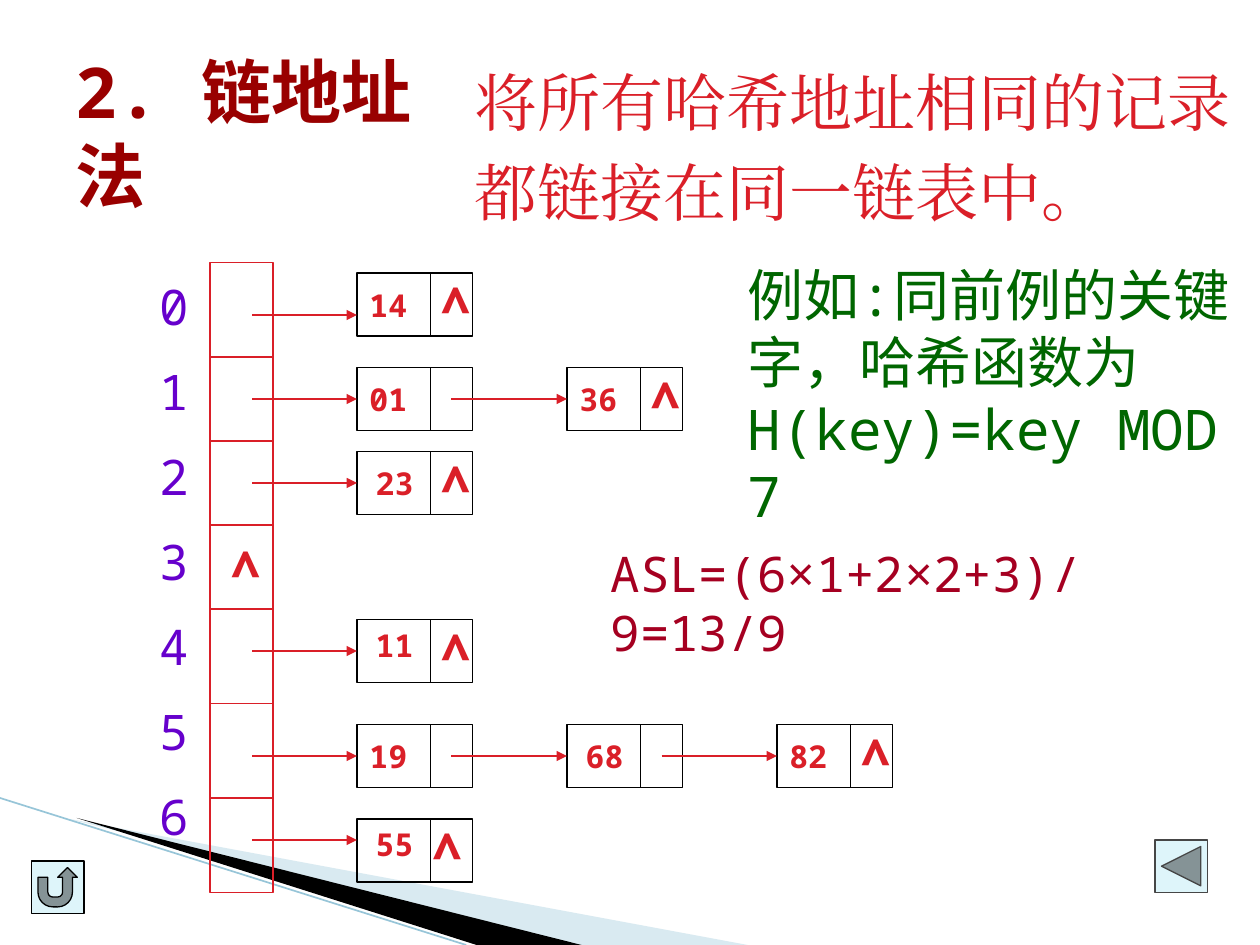
from dataclasses import dataclass
from typing import Optional

from lxml.etree import SubElement
from pptx import Presentation
from pptx.dml.color import RGBColor
from pptx.enum.shapes import MSO_CONNECTOR, MSO_SHAPE
from pptx.enum.text import MSO_ANCHOR, MSO_AUTO_SIZE, PP_ALIGN
from pptx.oxml.ns import qn
from pptx.util import Inches, Pt

WIDTH, HEIGHT = Inches(10), Inches(7.5)
COLUMNS, ROWS = 120, 90
MONO, SERIF = "Noto Sans Mono", "Times New Roman"
TITLE_RED = RGBColor(0x99, 0x00, 0x00)
RED = RGBColor(0xDA, 0x1F, 0x28)
PURPLE = RGBColor(0x66, 0x00, 0xCC)
GREEN = RGBColor(0x00, 0x66, 0x00)
CRIMSON = RGBColor(0xA5, 0x00, 0x21)
BLACK = RGBColor(0x00, 0x00, 0x00)
GREY = RGBColor(0x46, 0x46, 0x46)
ICE = RGBColor(0xDE, 0xF5, 0xFA)
PALE_BLUE = RGBColor(0xA0, 0xCB, 0xDC)
EDGE_BLUE = RGBColor(0x97, 0xC5, 0xD8)

TABLE_LEFT, TABLE_RIGHT, TABLE_TOP, TABLE_BOTTOM = 20, 26, 25, 85
TABLE_RULES = (34, 42, 50, 58, 67, 76)
NODE_WIDTH, NODE_HEIGHT, KEY_WIDTH = 11, 6, 7
NODE_START, NODE_STEP = 34, 20
NULL_MARK = "∧"


@dataclass
class Node:
    key: str
    label_drop: Optional[float] = None
    mark_shift: Optional[float] = None


@dataclass
class Chain:
    top: float
    arrow: float
    nodes: list[Node]


CHAINS = [
    Chain(26, 30, [Node("14", mark_shift=6.8)]),
    Chain(35, 38, [Node("01"), Node("36", mark_shift=6.8)]),
    Chain(43, 46, [Node("23", 0.6, 6.8)]),
    Chain(59, 62, [Node("11", 0, 6.8)]),
    Chain(69, 72, [Node("19"), Node("68", 0.6), Node("82", mark_shift=6.8)]),
    Chain(78, 80, [Node("55", 0, 6)]),
]


def across(column: float) -> int:
    return round(WIDTH * column / COLUMNS)


def down(row: float) -> int:
    return round(HEIGHT * row / ROWS)


def write(frame, *lines: str, size: float, color: RGBColor, font: str = MONO,
          bold: bool = False, wrap: bool = True, spacing: Optional[float] = None,
          gap: float = 0, anchor: MSO_ANCHOR = MSO_ANCHOR.TOP) -> None:
    frame.auto_size = MSO_AUTO_SIZE.NONE
    frame.word_wrap = wrap
    frame.vertical_anchor = anchor
    for index, line in enumerate(lines):
        para = frame.add_paragraph() if index else frame.paragraphs[0]
        para.alignment = PP_ALIGN.LEFT
        para.line_spacing = spacing
        if index and gap:
            para.space_before = Pt(gap)
        span = para.add_run()
        span.text = line
        span.font.size, span.font.bold, span.font.name = Pt(size), bold, font
        span.font.color.rgb = color
        SubElement(span._r.get_or_add_rPr(), qn("a:ea"), typeface=font)


def add_text(page, left: float, top: float, width: float, height: float,
             *lines: str, **style) -> None:
    box = page.shapes.add_textbox(across(left), down(top), across(width), down(height))
    write(box.text_frame, *lines, **style)


def add_box(page, left: float, top: float, width: float, height: float, color: RGBColor,
            kind: MSO_SHAPE = MSO_SHAPE.RECTANGLE, fill: Optional[RGBColor] = None):
    box = page.shapes.add_shape(kind, across(left), down(top), across(width), down(height))
    box.shadow.inherit = False
    if fill is None:
        box.fill.background()
    else:
        box.fill.solid()
        box.fill.fore_color.rgb = fill
    box.line.color.rgb, box.line.width = color, Pt(0.75)
    return box


def add_line(page, left: float, top: float, right: float, bottom: float, color: RGBColor,
             weight: float = 0.75, arrow: bool = False) -> None:
    line = page.shapes.add_connector(MSO_CONNECTOR.STRAIGHT, across(left), down(top),
                                     across(right), down(bottom))
    line.line.color.rgb, line.line.width = color, Pt(weight)
    if arrow:
        SubElement(line.line._get_or_add_ln(), qn("a:tailEnd"), type="triangle")
    SubElement(line._element.spPr, qn("a:effectLst"))


def add_wedge(page, points: list[tuple[float, float]], color: RGBColor,
              opacity: int = 100) -> None:
    corners = [(across(column), down(row)) for column, row in points]
    builder = page.shapes.build_freeform(*corners[0])
    builder.add_line_segments(corners[1:], close=True)
    wedge = builder.convert_to_shape()
    wedge.shadow.inherit = False
    wedge.fill.solid()
    wedge.fill.fore_color.rgb = color
    wedge.line.fill.background()
    if opacity < 100:
        tint = wedge._element.spPr.find(qn("a:solidFill"))[0]
        SubElement(tint, qn("a:alpha"), val=str(opacity * 1000))


def add_mark(page, left: float, top: float) -> None:
    add_text(page, left, top, 5.3, 6.8, NULL_MARK, size=28, color=RED, bold=True, wrap=False)


def add_node(page, node: Node, left: float, top: float) -> None:
    key_style = dict(size=18, color=RED, bold=True, wrap=False)
    box = add_box(page, left, top, NODE_WIDTH, NODE_HEIGHT, BLACK)
    divider = left + KEY_WIDTH
    add_line(page, divider, top, divider, top + NODE_HEIGHT, BLACK)
    if node.label_drop is None:
        write(box.text_frame, node.key, anchor=MSO_ANCHOR.MIDDLE, **key_style)
    else:
        add_text(page, left + 0.6, top + node.label_drop, 6.4, 6, node.key, **key_style)
    if node.mark_shift is not None:
        add_mark(page, left + node.mark_shift, top - 0.9)


def add_chain(page, chain: Chain) -> None:
    start = TABLE_RIGHT - 2
    for index, node in enumerate(chain.nodes):
        left = NODE_START + index * NODE_STEP
        add_node(page, node, left, chain.top)
        add_line(page, start, chain.arrow, left, chain.arrow, RED, weight=1.5, arrow=True)
        start = left + NODE_WIDTH - 2


def main() -> None:
    deck = Presentation()
    deck.slide_width, deck.slide_height = WIDTH, HEIGHT
    page = deck.slides.add_slide(deck.slide_layouts[5])

    add_wedge(page, [(6.6, 78), (71.2, 90), (54.7, 90)], PALE_BLUE, opacity=40)
    add_wedge(page, [(7.3, 77.9), (55.4, 90), (45.4, 90)], BLACK)
    add_line(page, 0, 76, 44.4, 90, EDGE_BLUE, weight=0.95)

    title = page.shapes.title
    title.left, title.top, title.width, title.height = across(6), down(4), across(37), down(17)
    write(title.text_frame, "2. 链地址法", size=40, color=TITLE_RED, bold=True)
    add_text(page, 44, 4, 76, 18.5, "将所有哈希地址相同的记录", "都链接在同一链表中。",
             size=36, color=RED, font=SERIF, spacing=1.2)

    add_box(page, TABLE_LEFT, TABLE_TOP, TABLE_RIGHT - TABLE_LEFT,
            TABLE_BOTTOM - TABLE_TOP, RED)
    for row in TABLE_RULES:
        add_line(page, TABLE_LEFT, row, TABLE_RIGHT, row, RED)
    add_text(page, 14, 25.7, 7, 57.4, *map(str, range(7)), size=28, color=PURPLE, gap=15)
    for chain in CHAINS:
        add_chain(page, chain)
    add_mark(page, 20.8, 50.2)

    add_text(page, 57, 51.2, 57.8, 12, "ASL=(6×1+2×2+3)/9=13/9", size=28, color=CRIMSON)
    add_text(page, 70, 24.2, 50, 26, "例如:同前例的关键字，哈希函数为 H(key)=key MOD 7",
             size=32, color=GREEN)

    add_box(page, 110, 80, 5, 5, GREY, MSO_SHAPE.ACTION_BUTTON_BACK_OR_PREVIOUS, ICE)
    add_box(page, 3, 82, 5, 5, BLACK, MSO_SHAPE.ACTION_BUTTON_RETURN, ICE)
    deck.save("out.pptx")


if __name__ == "__main__":
    main()
